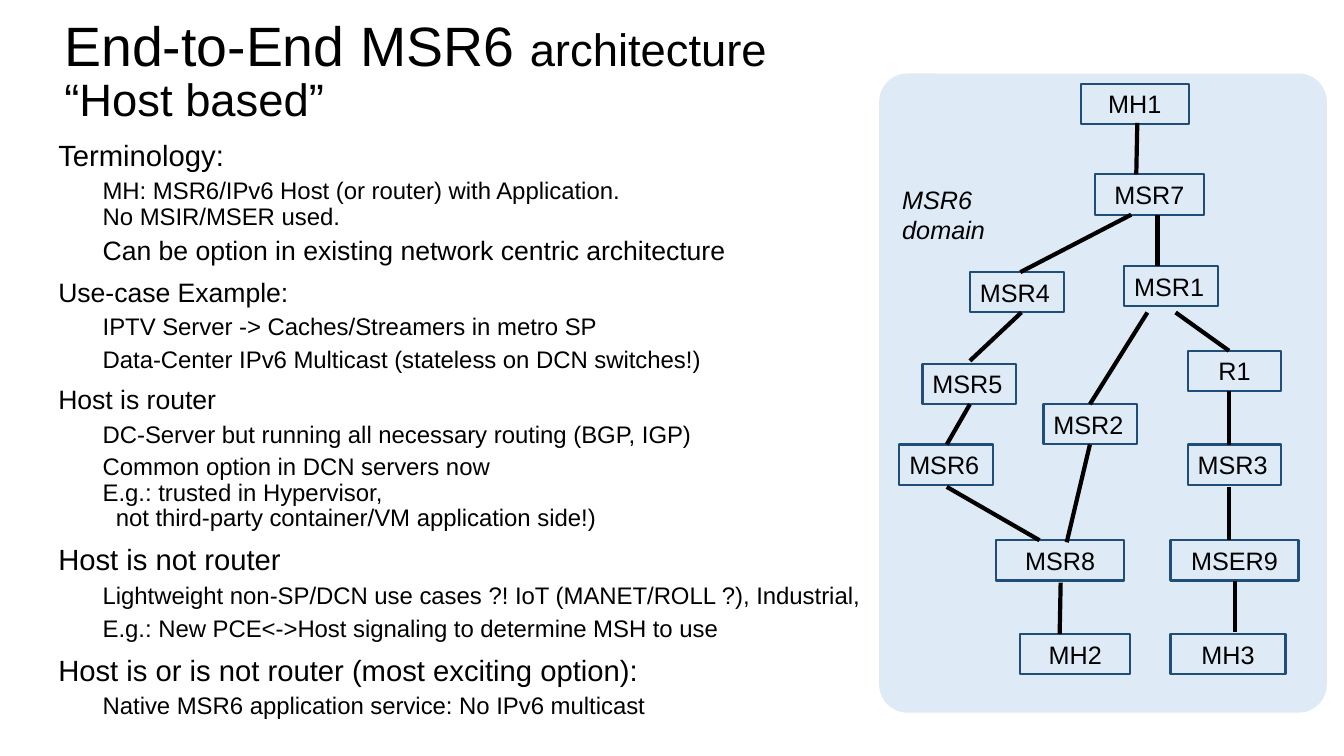
import pptx
import pptx.util
import pptx.dml.color
import pptx.enum.shapes
import pptx.enum.text
import pptx.oxml.ns
import lxml.etree

RGBColor = pptx.dml.color.RGBColor
PP_ALIGN = pptx.enum.text.PP_ALIGN
ANCHOR = pptx.enum.text.MSO_ANCHOR
SHAPE = pptx.enum.shapes.MSO_SHAPE
BLACK = RGBColor(0x00, 0x00, 0x00)
NAVY = RGBColor(0x1F, 0x4F, 0x79)
PALE_BLUE = RGBColor(0xDE, 0xEB, 0xF7)

TITLE = [[("End-to-End MSR6 ", 39.6), ("architecture\v“Host based”", 32.4)]]

HEADING, DETAIL, CONTINUED = (0, 10), (44, 5), (57, 0)
OUTLINE = [
    (HEADING, 20.9, "Terminology:"),
    (DETAIL, 17.1, "MH: MSR6/IPv6 Host (or router) with Application.\vNo MSIR/MSER used."),
    (DETAIL, 19, "Can be option in existing network centric architecture"),
    (HEADING, 19, "Use-case Example:"),
    (DETAIL, 17.1, "IPTV Server -> Caches/Streamers in metro SP"),
    (DETAIL, 17.1, "Data-Center IPv6 Multicast (stateless on DCN switches!)"),
    (HEADING, 19, "Host is router"),
    (DETAIL, 17.1, "DC-Server but running all necessary routing (BGP, IGP)"),
    (DETAIL, 17.1, "Common option in DCN servers now\vE.g.: trusted in Hypervisor,"),
    (CONTINUED, 17.1, "not third-party container/VM application side!)"),
    (HEADING, 20.9, "Host is not router"),
    (DETAIL, 17.1, "Lightweight non-SP/DCN use cases ?! IoT (MANET/ROLL ?), Industrial,"),
    (DETAIL, 17.1, "E.g.: New PCE<->Host signaling to determine MSH to use"),
    (HEADING, 20.9, "Host is or is not router (most exciting option):"),
    (DETAIL, 17.1, "Native MSR6 application service: No IPv6 multicast"),
]

NODE_HEIGHT = 40
ROUTER_WIDTH = 93
CENTRED_NODES = [
    ("MH1", 1072, 83, 107), ("MSR7", 1086, 173, 108), ("R1", 1178, 348, ROUTER_WIDTH),
    ("MSR8", 988, 536, 127), ("MSER9", 1161, 536, 127),
    ("MH2", 1012, 629, 109), ("MH3", 1161, 629, 114),
]
ROUTERS = [
    ("MSR1", 1115, 264), ("MSR2", 1035, 401), ("MSR3", 1178, 441),
    ("MSR4", 962, 270), ("MSR5", 915, 361), ("MSR6", 892, 441),
]
LINKS = [
    (1127, 173, 1128, 122), (1148, 264, 1148, 213), (1012, 270, 1122, 213),
    (1219, 348, 1166, 310), (1081, 401, 1138, 310), (962, 358, 1013, 310),
    (939, 441, 962, 401), (1058, 538, 1081, 441), (1219, 441, 1219, 388),
    (1219, 536, 1219, 483), (1031, 536, 939, 483), (1051, 629, 1052, 578),
    (1225, 627, 1225, 576),
]


def px(length):
    """Turn px, one hundred to the inch, into EMU."""
    return pptx.util.Emu(length * 9144)


def apply(target, formats):
    """Set every attribute of a dict of format values."""
    for attribute, setting in formats.items():
        setattr(target, attribute, setting)


class SlideBuilder:
    """Draws styled elements on one slide."""

    font = {"name": "Arial", "size": pptx.util.Pt(18)}

    def __init__(self, slide):
        """Keep the slide to draw on."""
        self.slide = slide

    def fill_paragraph(self, paragraph, pieces, formats, italic=False):
        """Fill a paragraph with sized pieces of text."""
        apply(paragraph, formats)
        for wording, size in pieces:
            for number, line in enumerate(wording.split("\v")):
                if number:
                    paragraph.add_line_break()
                run = paragraph.add_run()
                run.text = line
                apply(run.font, {**self.font, "size": pptx.util.Pt(size), "italic": italic})
                run.font.color.rgb = BLACK

    def text(self, bounds, paragraphs, formats, frame_formats, italic=False):
        """Add a text box and return its paragraphs."""
        frame = self.slide.shapes.add_textbox(*map(px, bounds)).text_frame
        apply(frame, frame_formats)
        for number, pieces in enumerate(paragraphs):
            paragraph = frame.add_paragraph() if number else frame.paragraphs[0]
            self.fill_paragraph(paragraph, pieces, formats, italic)
        return frame.paragraphs

    def outline(self, bounds, entries):
        """Add the indented list of topics."""
        topics = self.text(bounds, [[(wording, size)] for _, size, wording in entries],
                           {"line_spacing": 0.89}, {"word_wrap": True})
        for topic, ((indent, space), _, _) in zip(topics, entries):
            apply(topic, {"space_before": pptx.util.Pt(space), "level": int(indent > 0)})
            properties = topic._p.get_or_add_pPr()
            properties.set("marL", str(px(indent)))
            properties.set("indent", "0")

    def domain(self, bounds, rounding):
        """Add the rounded background of the network."""
        area = self.slide.shapes.add_shape(SHAPE.ROUNDED_RECTANGLE, *map(px, bounds))
        area.shadow.inherit = False
        area.adjustments[0] = rounding
        area.fill.solid()
        area.fill.fore_color.rgb = PALE_BLUE
        area.line.fill.background()

    def node(self, label, left, top, width, alignment):
        """Add a labelled network node."""
        node = self.slide.shapes.add_shape(
            SHAPE.RECTANGLE, *map(px, (left, top, width, NODE_HEIGHT)))
        node.shadow.inherit = False
        node.fill.background()
        node.line.color.rgb = NAVY
        node.line.width = pptx.util.Pt(1.5)
        apply(node.text_frame, {"word_wrap": True, "vertical_anchor": ANCHOR.TOP})
        self.fill_paragraph(node.text_frame.paragraphs[0], [(label, 18)],
                            {"alignment": alignment})

    def link(self, ends):
        """Add a line between two nodes."""
        link = self.slide.shapes.add_connector(
            pptx.enum.shapes.MSO_CONNECTOR.STRAIGHT, *map(px, ends))
        link.line.color.rgb = BLACK
        link.line.width = pptx.util.Pt(3)
        lxml.etree.SubElement(link._element.spPr, pptx.oxml.ns.qn("a:effectLst"))


def main():
    """Build and save the slide."""
    deck = pptx.Presentation()
    apply(deck, {"slide_width": px(1333), "slide_height": px(750)})
    builder = SlideBuilder(deck.slides.add_slide(deck.slide_layouts[6]))
    builder.domain((872, 73, 444, 634), 0.063)
    builder.text((54, 31, 1188, 83), TITLE, {"line_spacing": 0.88},
                 {"word_wrap": True, "vertical_anchor": ANCHOR.MIDDLE})
    builder.outline((48, 135, 844, 608), OUTLINE)
    for label, left, top, width in CENTRED_NODES:
        builder.node(label, left, top, width, PP_ALIGN.CENTER)
    for label, left, top in ROUTERS:
        builder.node(label, left, top, ROUTER_WIDTH, PP_ALIGN.LEFT)
    for ends in LINKS:
        builder.link(ends)
    builder.text((885, 178, 102, 70), [[("MSR6", 18)], [("domain", 18)]], {},
                 {"word_wrap": False}, italic=True)
    deck.save("out.pptx")


if __name__ == "__main__":
    main()
